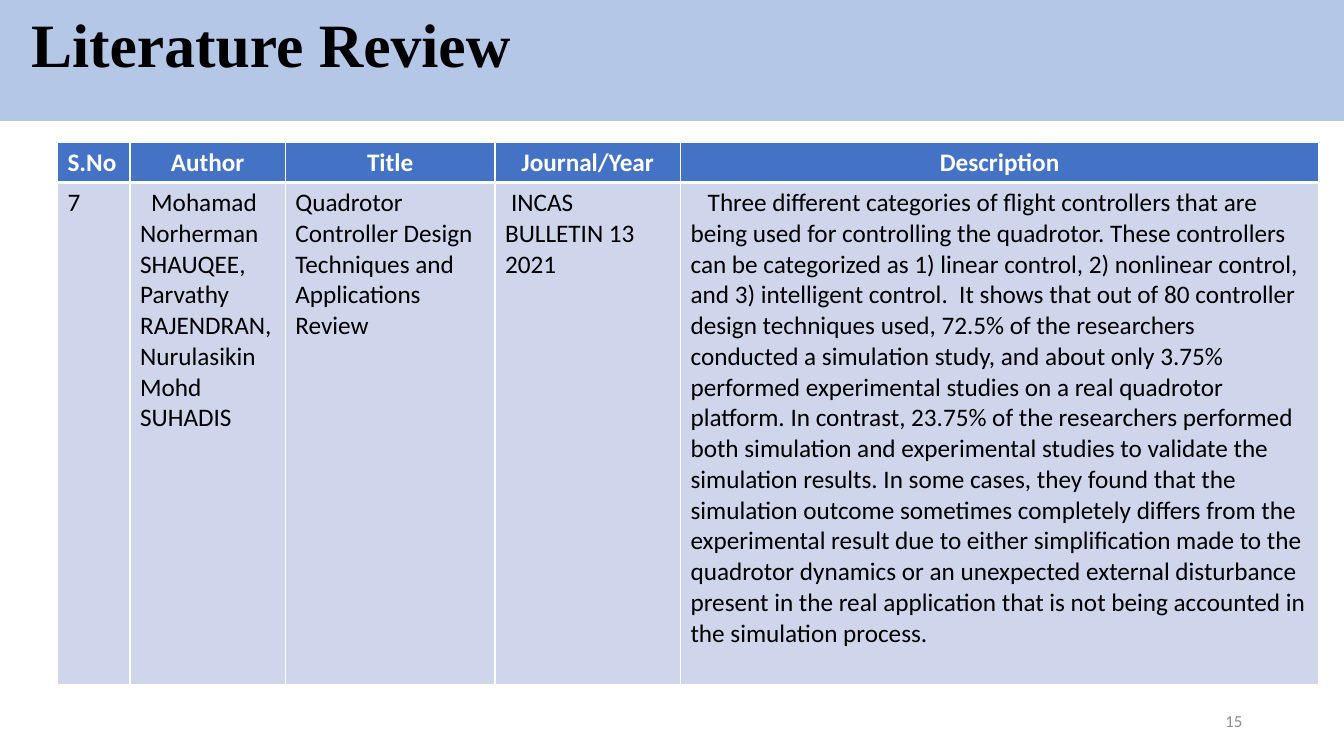
from lxml.etree import SubElement
from pptx import Presentation
from pptx.dml.color import RGBColor
from pptx.enum.shapes import MSO_SHAPE
from pptx.enum.text import MSO_ANCHOR, PP_ALIGN
from pptx.oxml.ns import qn
from pptx.util import Inches, Pt

# Content
TITLE = "Literature Review"
PAGE = "15"
DESCRIPTION = [
    "Three different categories of flight controllers that are being used for "
    "controlling the quadrotor.",
    "These controllers can be categorized as 1) linear control, 2) nonlinear control, "
    "and 3) intelligent control. ",
    "It shows that out of 80 controller design techniques used, 72.5% of the researchers "
    "conducted a simulation study, and about only 3.75% performed experimental studies "
    "on a real quadrotor platform.",
    "In contrast, 23.75% of the researchers performed both simulation and experimental "
    "studies to validate the simulation results.",
    "In some cases, they found that the simulation outcome sometimes completely differs "
    "from the experimental result due to either simplification made to the quadrotor "
    "dynamics or an unexpected external disturbance present in the real application "
    "that is not being accounted in the simulation process.",
]
# heading, heading alignment, column width, first-line indent, body sentences
COLUMNS = [
    ("S.No", PP_ALIGN.LEFT, 0.72, 0, ["7"]),
    ("Author", PP_ALIGN.CENTER, 1.54, 0.11,
     ["Mohamad Norherman SHAUQEE, Parvathy RAJENDRAN, Nurulasikin Mohd SUHADIS"]),
    ("Title", PP_ALIGN.CENTER, 2.08, 0,
     ["Quadrotor Controller Design Techniques and Applications Review"]),
    ("Journal/Year", PP_ALIGN.CENTER, 1.84, 0.06, ["INCAS BULLETIN 13 2021"]),
    ("Description", PP_ALIGN.CENTER, 6.33, 0.17, DESCRIPTION),
]
ROW_HEIGHTS = (0.4, 4.98)

THEME = {
    "banner": "B4C7E7", "head": "4472C4", "body": "CFD5EA", "rule": "FFFFFF",
    "title_text": {"name": "Times New Roman", "size": Pt(44), "bold": True, "color": "000000"},
    "head_text": {"name": "Calibri", "size": Pt(18), "bold": True, "color": "FFFFFF"},
    "body_text": {"name": "Calibri", "size": Pt(18), "bold": False, "color": "000000"},
    "page_text": {"name": "Calibri", "size": Pt(12), "bold": False, "color": "8C8C8C"},
}


def paint(fill, color):
    fill.solid()
    fill.fore_color.rgb = RGBColor.from_string(color)


def write(tf, text, style, align, indent=0):
    tf.word_wrap = True
    p = tf.paragraphs[0]
    p.alignment = align
    if indent:
        p._p.get_or_add_pPr().set("indent", str(Inches(indent)))
    r = p.add_run()
    r.text = text
    for key, value in THEME[style].items():
        if key == "color":
            r.font.color.rgb = RGBColor.from_string(value)
        else:
            setattr(r.font, key, value)
    return p


def border(cell, **widths):
    tcPr = cell._tc.get_or_add_tcPr()
    for side in ("L", "R", "T", "B"):
        ln = SubElement(tcPr, qn(f"a:ln{side}"), w=str(Pt(widths.get(side, 1))))
        fill = SubElement(ln, qn("a:solidFill"))
        SubElement(fill, qn("a:srgbClr"), val=THEME["rule"])


def add_banner(s):
    sp = s.shapes.add_shape(MSO_SHAPE.RECTANGLE, Inches(-0.18), Inches(-0.25),
                            Inches(13.63), Inches(1.45))
    sp.shadow.inherit = False
    paint(sp.fill, THEME["banner"])
    sp.line.fill.background()
    tf = sp.text_frame
    tf.vertical_anchor = MSO_ANCHOR.MIDDLE
    p = write(tf, TITLE, "title_text", PP_ALIGN.JUSTIFY)
    p.line_spacing = 0.9
    p._p.get_or_add_pPr().set("marL", str(Inches(0.39)))


def add_review_table(s):
    width = sum(column[2] for column in COLUMNS)
    table = s.shapes.add_table(2, len(COLUMNS), Inches(0.57), Inches(1.41),
                               Inches(width), Inches(sum(ROW_HEIGHTS))).table
    for row, height in zip(table.rows, ROW_HEIGHTS):
        row.height = Inches(height)
    for i, (heading, align, col_width, indent, body) in enumerate(COLUMNS):
        table.columns[i].width = Inches(col_width)
        head_cell, body_cell = table.cell(0, i), table.cell(1, i)
        border(head_cell, B=3)
        border(body_cell, T=3)
        paint(head_cell.fill, THEME["head"])
        paint(body_cell.fill, THEME["body"])
        write(head_cell.text_frame, heading, "head_text", align)
        write(body_cell.text_frame, " ".join(body), "body_text", PP_ALIGN.LEFT, indent)


def add_page_number(s):
    tf = s.shapes.add_textbox(Inches(9.42), Inches(6.95), Inches(3), Inches(0.4)).text_frame
    tf.vertical_anchor = MSO_ANCHOR.MIDDLE
    write(tf, PAGE, "page_text", PP_ALIGN.RIGHT)


def main():
    prs = Presentation()
    prs.slide_width, prs.slide_height = Inches(13.33), Inches(7.5)
    s = prs.slides.add_slide(prs.slide_layouts[6])
    add_banner(s)
    add_page_number(s)
    add_review_table(s)
    prs.save("out.pptx")


if __name__ == "__main__":
    main()
